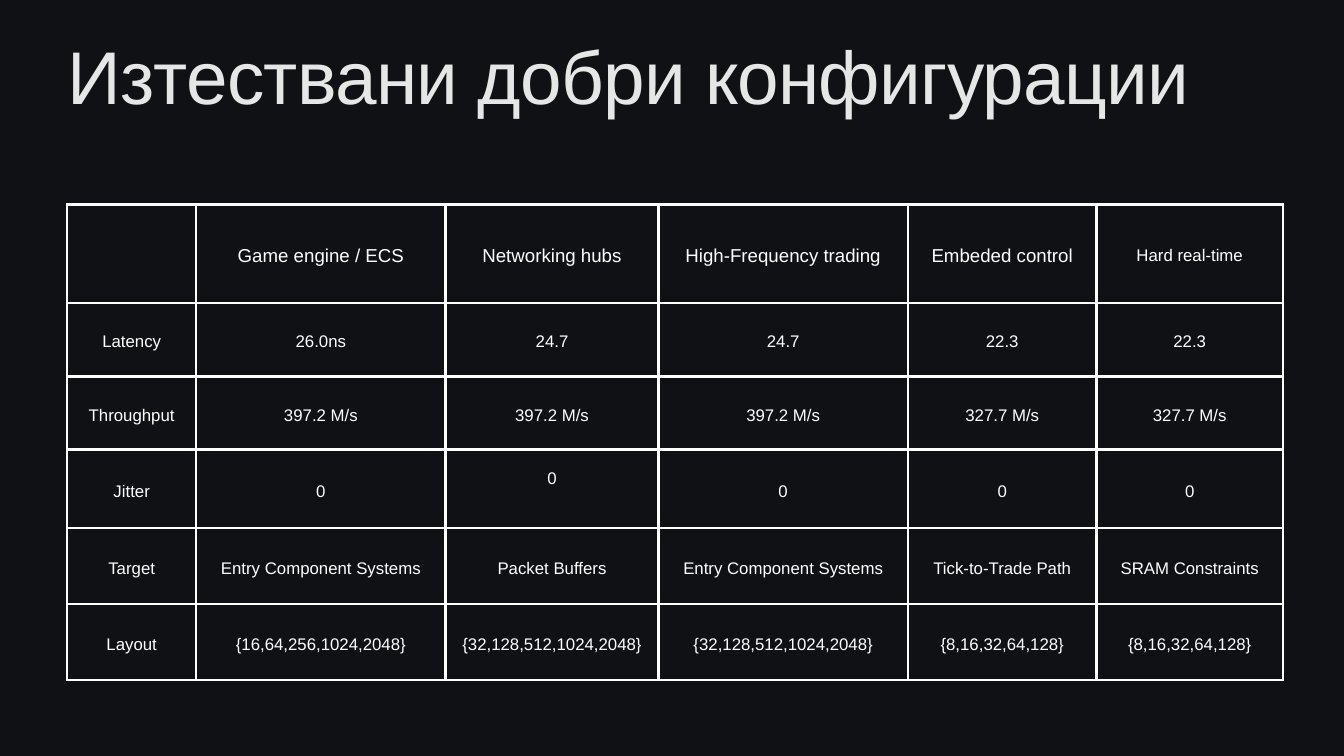
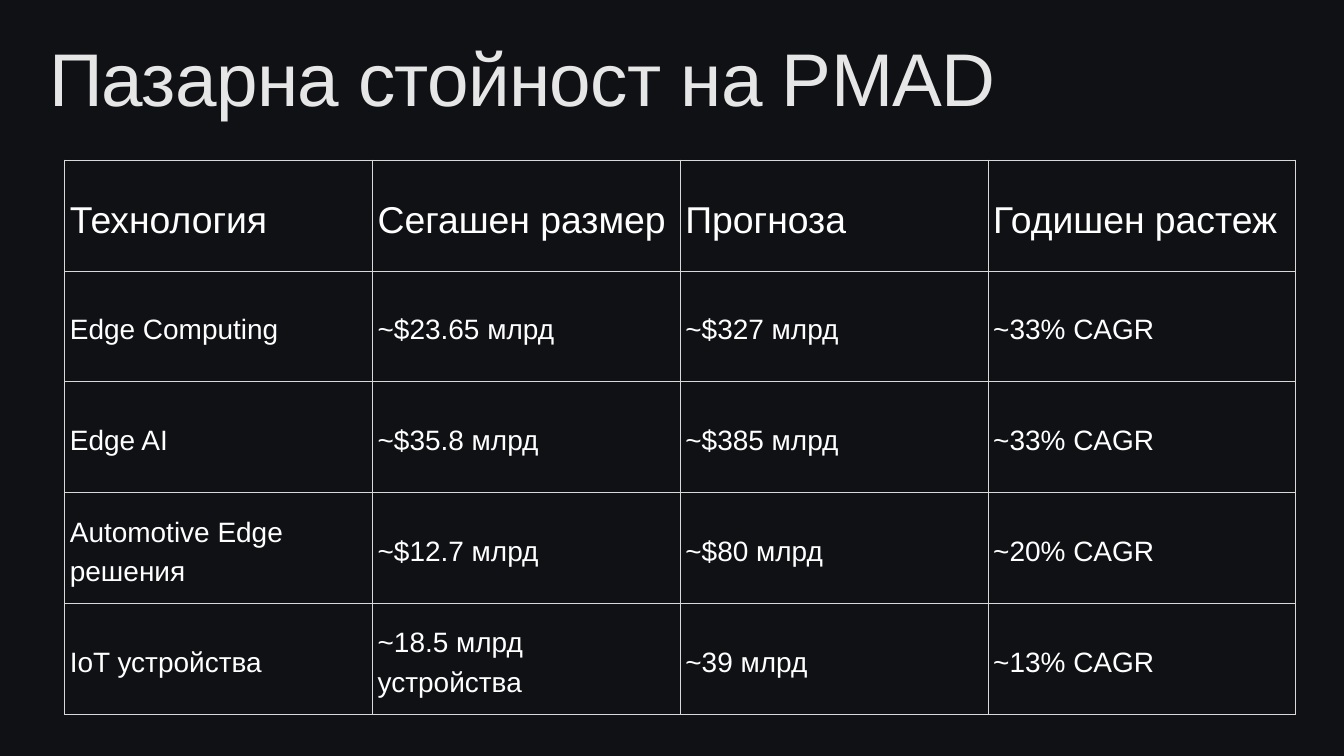
from lxml import etree
from pptx import Presentation
from pptx.dml.color import RGBColor
from pptx.enum.text import MSO_ANCHOR, MSO_AUTO_SIZE, PP_ALIGN
from pptx.oxml.ns import qn
from pptx.util import Inches, Pt

# Shared look
FONT = "Arial"
BACKGROUND, TITLE_COLOUR, TEXT_COLOUR = "0F1115", "E6E6E6", "FFFFFF"
LINE_SPACING = 1.4  # line height as a multiple of the text size


def colour(hex_code):
    return RGBColor.from_string(hex_code)


def add_border(cell, hex_code, width):
    for side in ("lnL", "lnR", "lnT", "lnB"):
        line = etree.SubElement(cell._tc.get_or_add_tcPr(), qn(f"a:{side}"), w=str(Pt(width)))
        line_fill = etree.SubElement(line, qn("a:solidFill"))
        etree.SubElement(line_fill, qn("a:srgbClr"), val=hex_code)


# Content of the two slides
configurations = {
    "title": "Изтествани добри конфигурации",
    "title_box": (1, 0.77, 19, 2.26),
    "corner": (1, 3.04),
    "columns": [1.92, 3.71, 3.17, 3.71, 2.81, 2.77],
    "rows": [1.47, 1.09, 1.09, 1.17, 1.13, 1.13],
    "border": ("FFFFFF", 3),
    "inset": 0.21,
    "align": PP_ALIGN.CENTER,
    "header_size": 20,
    "body_size": 18,
    "sizes": {(0, 5): 18},
    "bottom_insets": {(3, 2): 0.57},  # this value sits above the middle
    "cells": [
        ["", "Game engine / ECS", "Networking hubs", "High-Frequency trading",
         "Embeded control", "Hard real-time"],
        ["Latency", "26.0ns", "24.7", "24.7", "22.3", "22.3"],
        ["Throughput", "397.2 M/s", "397.2 M/s", "397.2 M/s", "327.7 M/s", "327.7 M/s"],
        ["Jitter", "0", "0", "0", "0", "0"],
        ["Target", "Entry Component Systems", "Packet Buffers", "Entry Component Systems",
         "Tick-to-Trade Path", "SRAM Constraints"],
        ["Layout", "{16,64,256,1024,2048}", "{32,128,512,1024,2048}",
         "{32,128,512,1024,2048}", "{8,16,32,64,128}", "{8,16,32,64,128}"],
    ],
}
market = {
    "title": "Пазарна стойност на PMAD",
    "title_box": (0.73, 0.8, 18.54, 1.26),
    "corner": (0.96, 2.38),
    "columns": [4.58] * 4,
    "rows": [1.65] * 5,
    "border": ("D9D9D9", 0.75),
    "inset": 0.08,
    "align": PP_ALIGN.LEFT,
    "header_size": 40,
    "body_size": 30,
    "sizes": {},
    "bottom_insets": {},
    "cells": [
        ["Технология", "Сегашен размер", "Прогноза", "Годишен растеж"],
        ["Edge Computing", "~$23.65 млрд", "~$327 млрд", "~33% CAGR"],
        ["Edge AI", "~$35.8 млрд", "~$385 млрд", "~33% CAGR"],
        ["Automotive Edge решения", "~$12.7 млрд", "~$80 млрд", "~20% CAGR"],
        ["IoT устройства", "~18.5 млрд устройства", "~39 млрд", "~13% CAGR"],
    ],
}

# Presentation and common background
prs = Presentation()
prs.slide_width, prs.slide_height = Inches(20), Inches(11.25)
master_fill = prs.slide_master.background.fill
master_fill.solid()
master_fill.fore_color.rgb = colour(BACKGROUND)
title_only = prs.slide_layouts[5]

for topic in (configurations, market):
    slide = prs.slides.add_slide(title_only)

    # Title
    title = slide.shapes.title
    title.left, title.top, title.width, title.height = map(Inches, topic["title_box"])
    frame = title.text_frame
    frame.margin_left = frame.margin_right = frame.margin_top = frame.margin_bottom = 0
    frame.word_wrap = True
    frame.auto_size = MSO_AUTO_SIZE.SHAPE_TO_FIT_TEXT
    frame.vertical_anchor = MSO_ANCHOR.TOP
    heading = frame.paragraphs[0]
    heading.alignment = PP_ALIGN.LEFT
    heading.line_spacing = Pt(72)
    run = heading.add_run()
    run.text = topic["title"]
    run.font.name, run.font.size = FONT, Pt(80)
    run.font.color.rgb = colour(TITLE_COLOUR)
    run.font._element.set("spc", "-80")

    # Table grid
    columns, rows = topic["columns"], topic["rows"]
    left, top = topic["corner"]
    table = slide.shapes.add_table(
        len(rows), len(columns), Inches(left), Inches(top),
        Inches(sum(columns)), Inches(sum(rows))).table
    table.first_row = table.horz_banding = False
    for column, width in zip(table.columns, columns):
        column.width = Inches(width)
    for row, height in zip(table.rows, rows):
        row.height = Inches(height)

    # Table cells
    inset = Inches(topic["inset"])
    for r, labels in enumerate(topic["cells"]):
        row_size = topic["body_size"] if r else topic["header_size"]
        for c, label in enumerate(labels):
            cell = table.cell(r, c)
            add_border(cell, *topic["border"])
            cell.fill.background()
            cell.vertical_anchor = MSO_ANCHOR.MIDDLE
            cell.margin_left = cell.margin_right = cell.margin_top = inset
            cell.margin_bottom = Inches(topic["bottom_insets"].get((r, c), topic["inset"]))
            if not label:
                continue
            size = topic["sizes"].get((r, c), row_size)
            paragraph = cell.text_frame.paragraphs[0]
            paragraph.alignment = topic["align"]
            paragraph.line_spacing = Pt(size * LINE_SPACING)
            run = paragraph.add_run()
            run.text = label
            run.font.name, run.font.size = FONT, Pt(size)
            run.font.color.rgb = colour(TEXT_COLOUR)

prs.save("out.pptx")
